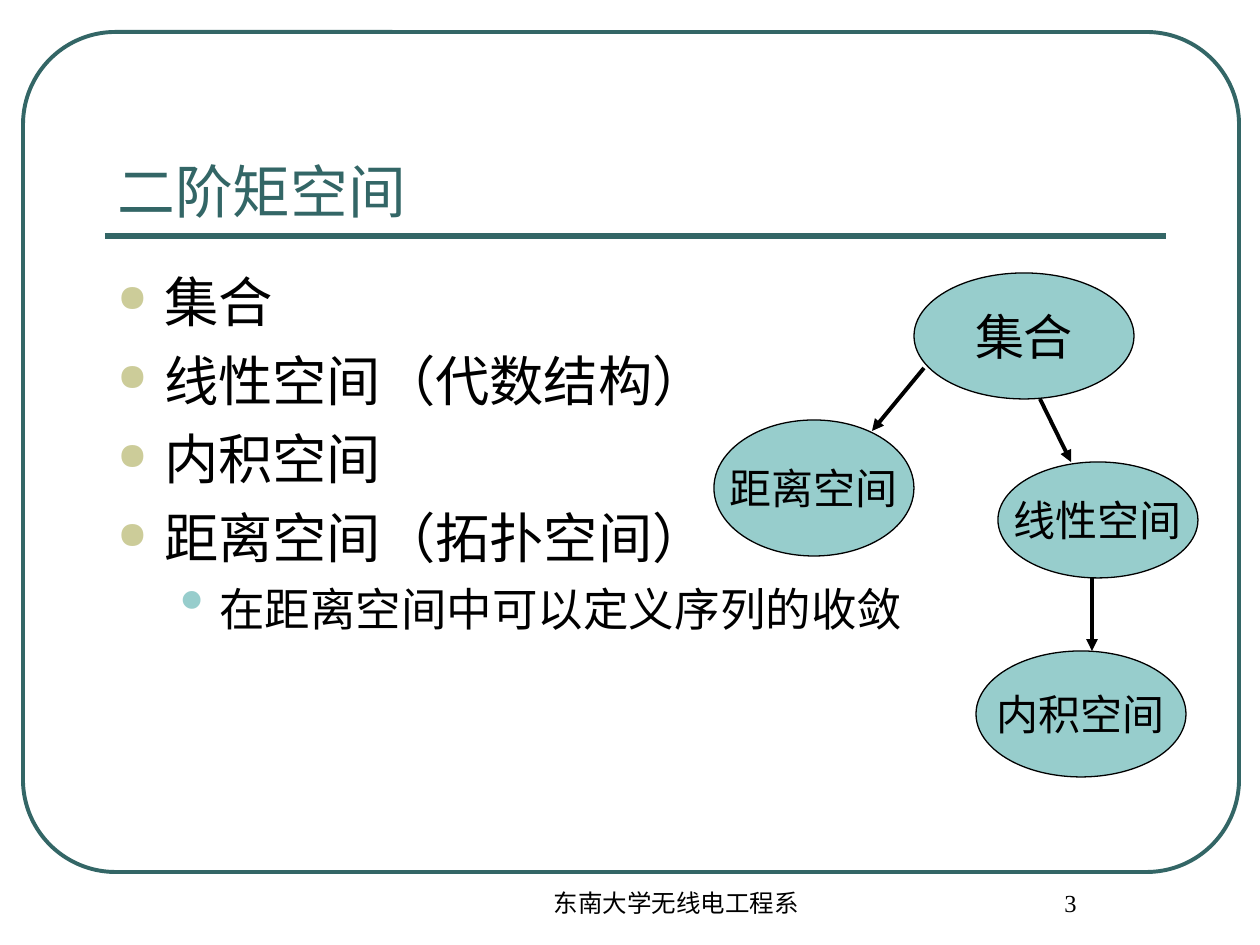
from dataclasses import dataclass
from lxml import etree
from pptx import Presentation
from pptx import util as u
from pptx.dml.color import RGBColor
from pptx.enum import shapes, text
from pptx.oxml.ns import qn

PX_PER_INCH = 126


@dataclass(frozen=True)
class Theme:
    teal: str = "336666"
    aqua: str = "97CDCC"
    sand: str = "CCCC99"
    ink: str = "000000"
    title_font: str = "Montserrat"
    body_font: str = "Arial"
    footer_font: str = "Times New Roman"
    title_size: int = 33
    item_size: int = 31
    detail_size: int = 26
    root_size: int = 28
    node_size: int = 24
    footer_size: int = 14


THEME = Theme()


def px(length):
    return u.Inches(length / PX_PER_INCH)


def color(code):
    return RGBColor.from_string(code)


def style(para, font, size, ink=THEME.ink):
    for span in para.runs:
        span.font.name = font
        span.font.size = u.Pt(size)
        span.font.color.rgb = color(ink)


def indent(para, margin, first=0):
    props = para._p.get_or_add_pPr()
    props.set("marL", str(px(margin)))
    props.set("indent", str(px(first)))
    return props


def add_bullet(para, char, ink, percent, margin, hanging):
    props = indent(para, margin, -hanging)
    holder = etree.SubElement(props, qn("a:buClr"))
    etree.SubElement(holder, qn("a:srgbClr"), val=ink)
    etree.SubElement(props, qn("a:buSzPct"), val=str(percent * 1000))
    etree.SubElement(props, qn("a:buChar"), char=char)


def add_text(page, box, anchor=text.MSO_ANCHOR.TOP):
    frame = page.shapes.add_textbox(*map(px, box)).text_frame
    frame.word_wrap = True
    frame.vertical_anchor = anchor
    return frame


def add_line(page, start, end, ink, width, arrow=False):
    line = page.shapes.add_connector(
        shapes.MSO_CONNECTOR.STRAIGHT, *map(px, start + end))
    line.line.color.rgb = color(ink)
    line.line.width = u.Pt(width)
    if arrow:
        etree.SubElement(line.line._get_or_add_ln(), qn("a:tailEnd"), type="triangle")
    etree.SubElement(line._element.spPr, qn("a:effectLst"))


def add_frame(page, box):
    border = page.shapes.add_shape(
        shapes.MSO_SHAPE.ROUNDED_RECTANGLE, *map(px, box))
    border.adjustments[0] = 0.11
    border.shadow.inherit = False
    border.fill.background()
    border.line.color.rgb = color(THEME.teal)
    border.line.width = u.Pt(2.25)


def add_title(page, box, title):
    left, top, width, height = box
    rule = top + height + 5
    add_line(page, (left, rule), (left + width, rule), THEME.teal, 3)
    para = add_text(page, box, text.MSO_ANCHOR.BOTTOM).paragraphs[0]
    para.text = title
    style(para, THEME.title_font, THEME.title_size, THEME.teal)


def add_outline(page, box, entries):
    frame = add_text(page, box)
    frame.text = "\n".join(label for label, level in entries)
    for index, (para, (label, level)) in enumerate(zip(frame.paragraphs, entries)):
        if level:
            add_bullet(para, "•", THEME.aqua, 150, 102, 39)
            size = THEME.detail_size
        else:
            add_bullet(para, "●", THEME.sand, 70, 47, 47)
            size = THEME.item_size
        para.level = level
        if index:
            para.space_before = u.Pt(round(size / 4, 1))
        style(para, THEME.body_font, size)


def add_node(page, box, label, size):
    node = page.shapes.add_shape(shapes.MSO_SHAPE.OVAL, *map(px, box))
    node.shadow.inherit = False
    node.fill.solid()
    node.fill.fore_color.rgb = color(THEME.aqua)
    node.line.color.rgb = color(THEME.ink)
    node.line.width = u.Pt(0.75)
    frame = node.text_frame
    frame.word_wrap = False
    frame.vertical_anchor = text.MSO_ANCHOR.MIDDLE
    para = frame.paragraphs[0]
    para.text = label
    para.alignment = text.PP_ALIGN.CENTER
    style(para, THEME.body_font, size)


def add_diagram(page, box):
    left, top = box[:2]
    nodes = [
        ((200, 0, 220, 126), "集合", THEME.root_size),
        ((0, 147, 200, 136), "距离空间", THEME.node_size),
        ((284, 189, 200, 116), "线性空间", THEME.node_size),
        ((262, 378, 210, 126), "内积空间", THEME.node_size),
    ]
    arrows = [
        ((210, 95), (158, 158)),
        ((326, 126), (357, 189)),
        ((378, 305), (378, 378)),
    ]
    for (x, y, width, height), label, size in nodes:
        add_node(page, (left + x, top + y, width, height), label, size)
    for (x1, y1), (x2, y2) in arrows:
        add_line(page, (left + x1, top + y1), (left + x2, top + y2),
                 THEME.ink, 2.25, arrow=True)


def add_footer(page, box, label):
    para = add_text(page, box).paragraphs[0]
    para.text = label
    para.alignment = text.PP_ALIGN.CENTER
    indent(para, 30)
    style(para, THEME.footer_font, THEME.footer_size)


def main():
    deck = Presentation()
    deck.slide_width, deck.slide_height = px(1260), px(945)
    page = deck.slides.add_slide(deck.slide_layouts[6])
    add_frame(page, (23, 32, 1216, 840))
    add_title(page, (105, 73, 1061, 158), "二阶矩空间")
    add_outline(page, (105, 262, 1061, 557), [
        ("集合", 0),
        ("线性空间（代数结构）", 0),
        ("内积空间", 0),
        ("距离空间（拓扑空间）", 0),
        ("在距离空间中可以定义序列的收敛", 1),
    ])
    add_diagram(page, (714, 273, 484, 504))
    add_footer(page, (462, 882, 399, 63), "东南大学无线电工程系")
    add_footer(page, (945, 882, 221, 63), "3")
    deck.save("out.pptx")


if __name__ == "__main__":
    main()
